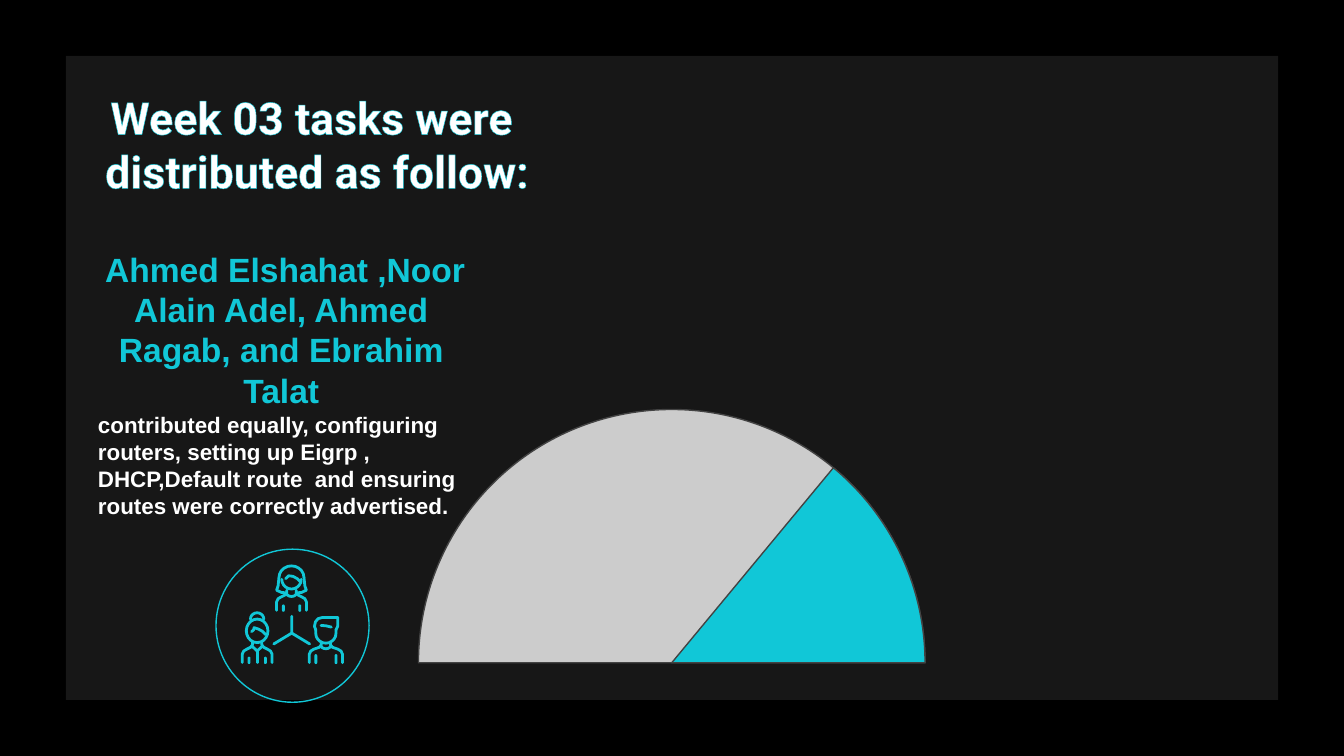
"""Build a slide on how the week 03 tasks were distributed."""
import math
from dataclasses import dataclass

from lxml import etree
from pptx import Presentation
from pptx.dml.color import RGBColor
from pptx.enum.shapes import MSO_SHAPE
from pptx.enum.text import MSO_ANCHOR, PP_ALIGN
from pptx.oxml.ns import qn
from pptx.util import Pt

CENTER, LEFT = PP_ALIGN.CENTER, PP_ALIGN.LEFT
TOP, BOTTOM = MSO_ANCHOR.TOP, MSO_ANCHOR.BOTTOM
RECTANGLE, ROUNDED = MSO_SHAPE.RECTANGLE, MSO_SHAPE.ROUNDED_RECTANGLE
OVAL, PIE = MSO_SHAPE.OVAL, MSO_SHAPE.PIE


@dataclass(frozen=True)
class Theme:
    background: str = "000000"
    panel: str = "171717"
    accent: str = "11C7D7"
    neutral: str = "CCCCCC"
    edge: str = "434343"
    white: str = "FFFFFF"
    heading_font: str = "Roboto"
    body_font: str = "Arial"
    title_size: float = 24
    names_size: float = 18
    body_size: float = 12
    hairline: float = 0.75
    icon_line: float = 1.5
    title_outline: float = 0.52


THEME = Theme()
TITLE = "Week 03 tasks were \vdistributed as follow:"
NAMES = " Ahmed Elshahat ,Noor Alain Adel, Ahmed Ragab, and Ebrahim Talat"
TASKS = ("contributed equally, configuring routers, setting up Eigrp , "
         "DHCP,Default route  and ensuring routes were correctly advertised.")
PIE_BOX = (224.2, 219.4, 271.4, 271.4)
PIE_SLICES = [(180, THEME.neutral), (309.66, THEME.accent)]


def arc(center_x, center_y, radius_x, radius_y, start, end, steps=10):
    """Return points along an elliptical arc, angles in clockwise degrees."""
    angles = [math.radians(start + (end - start) * i / steps) for i in range(steps + 1)]
    return [(center_x + radius_x * math.cos(a), center_y + radius_y * math.sin(a)) for a in angles]


def both_sides(points):
    """Return a stroke and its reflection across the axis of a figure."""
    return [points, [(-x, y) for x, y in points]]


def shoulders(half_width):
    return both_sides([(-half_width, 0), (-half_width, -4.5), (-half_width + 0.8, -6.2),
                       (-half_width + 2.5, -7.2), (-3.5, -8.2), (-2.5, -9.5), (-2.5, -10.8)])


COLLAR = arc(0, -9.3, 2.7, 1.9, 10, 170, 6)
FIGURES = [
    {"origin": (137.8, 355), "arm": (4.4, 2.4), "strokes": shoulders(8) + [
        arc(0, -17, 5.8, 6.3, 0, 360, 20), arc(0, -23.2, 3.6, 3.5, 180, 360),
        [(-3, -16.6), (-2, -17.4), (-1.6, -18.7), (0.8, -17.9), (2.9, -16.7), (4.6, -15)],
        [(-2.5, -8.6), (0, -6.2), (2.5, -8.6)], [(0, -6.2), (0, 0)]]},
    {"origin": (156.2, 327), "arm": (4.4, 2.4), "strokes": shoulders(8) + both_sides(
        [(-2.5, -9.3), (-5.5, -9.6), (-8, -10.8), (-7.2, -13), (-6.7, -17.5)]) + [
        arc(0, -17.5, 6.7, 6.3, 180, 360), arc(0, -16.6, 5.2, 5.2, 0, 180),
        [(-3.1, -17), (-1.6, -18.5), (0.8, -18.2), (3.2, -16.9), (5.2, -14.8)], COLLAR]},
    {"origin": (174.6, 355), "arm": (5.4, 3.8), "strokes": shoulders(8.9) + [
        [(-5.4, -17.5), (-6.1, -19.4), (-5.6, -21.8), (-4.2, -23.5), (-1.8, -24.2),
         (6.4, -24.2), (6.4, -19.6), (5.4, -17.5)],
        [(-5.4, -17.5), *arc(0, -15.6, 5.4, 5.2, 180, 0), (5.4, -17.5)],
        [(-2.6, -19.9), (0, -19.7), (2.9, -19)], COLLAR]},
    {"origin": (156.3, 339.2), "arm": None, "strokes": [
        [(0, -9), (0, 0), (-9.6, 5.8)], [(0, 0), (9.6, 5.8)]]},
]


def color(value):
    return RGBColor.from_string(value)


def lengths(values):
    return [Pt(value) for value in values]


def add_outline(properties, value, width):
    """Put a coloured outline on the letters of a run."""
    line = etree.Element(qn("a:ln"), w=str(int(Pt(width))))
    fill = etree.SubElement(line, qn("a:solidFill"))
    etree.SubElement(fill, qn("a:srgbClr"), val=value)
    properties.insert(0, line)


def add_text(slide, text, box, *, size, fill, font=THEME.body_font,
             align=LEFT, anchor=TOP, outline=None):
    frame = slide.shapes.add_textbox(*lengths(box)).text_frame
    frame.word_wrap = True
    frame.vertical_anchor = anchor
    frame.margin_left = frame.margin_right = frame.margin_top = frame.margin_bottom = Pt(7.2)
    paragraph = frame.paragraphs[0]
    paragraph.text = text
    paragraph.alignment = align
    for run in paragraph.runs:
        run.font.name = font
        run.font.size = Pt(size)
        run.font.bold = True
        run.font.color.rgb = color(fill)
        if outline:
            add_outline(run._r.get_or_add_rPr(), outline, THEME.title_outline)


def style_shape(shape, fill=None, line=None, width=THEME.hairline):
    shape.shadow.inherit = False
    if fill:
        shape.fill.solid()
        shape.fill.fore_color.rgb = color(fill)
    else:
        shape.fill.background()
    if line:
        shape.line.color.rgb = color(line)
        shape.line.width = Pt(width)
    else:
        shape.line.fill.background()


def add_preset(slide, kind, box, **style):
    shape = slide.shapes.add_shape(kind, *lengths(box))
    style_shape(shape, **style)
    return shape


def add_figure(slide, origin, arm, strokes):
    """Draw one part of the team icon with round-ended strokes."""
    left, base = origin
    placed = [[(Pt(left + x), Pt(base + y)) for x, y in stroke] for stroke in strokes]
    builder = slide.shapes.build_freeform(*placed[0][0])
    for index, points in enumerate(placed):
        if index:
            builder.move_to(*points[0])
        builder.add_line_segments(points[1:], close=False)
    figure = builder.convert_to_shape()
    style_shape(figure, line=THEME.accent, width=THEME.icon_line)
    line = figure._element.spPr.find(qn("a:ln"))
    line.set("cap", "rnd")
    etree.SubElement(line, qn("a:round"))
    if arm:
        offset, height = arm
        half = THEME.icon_line / 2
        for x in (-offset, offset):
            box = (left + x - half, base - height - half, 2 * half, height + 2 * half)
            add_preset(slide, ROUNDED, box, fill=THEME.accent).adjustments[0] = 0.5


def build():
    presentation = Presentation()
    presentation.slide_width, presentation.slide_height = Pt(720), Pt(405)
    slide = presentation.slides.add_slide(presentation.slide_layouts[6])
    slide.background.fill.solid()
    slide.background.fill.fore_color.rgb = color(THEME.background)

    add_preset(slide, RECTANGLE, (35.3, 30, 649.4, 345), fill=THEME.panel)
    add_text(slide, TITLE, (47.5, 41, 244.8, 45.4), size=THEME.title_size, fill=THEME.white,
             font=THEME.heading_font, align=CENTER, outline=THEME.accent)
    for start, fill in PIE_SLICES:
        pie = add_preset(slide, PIE, PIE_BOX, fill=fill, line=THEME.edge)
        pie.adjustments[0], pie.adjustments[1] = start * 0.6, 0
    add_text(slide, NAMES, (39.1, 200.9, 223.2, 25.9), size=THEME.names_size,
             fill=THEME.accent, align=CENTER, anchor=BOTTOM)
    add_text(slide, TASKS, (45.4, 213.1, 223.2, 56.2), size=THEME.body_size, fill=THEME.white)
    add_preset(slide, OVAL, (115.7, 294.2, 82, 82), line=THEME.accent)
    for figure in FIGURES:
        add_figure(slide, **figure)
    presentation.save("out.pptx")


build()
